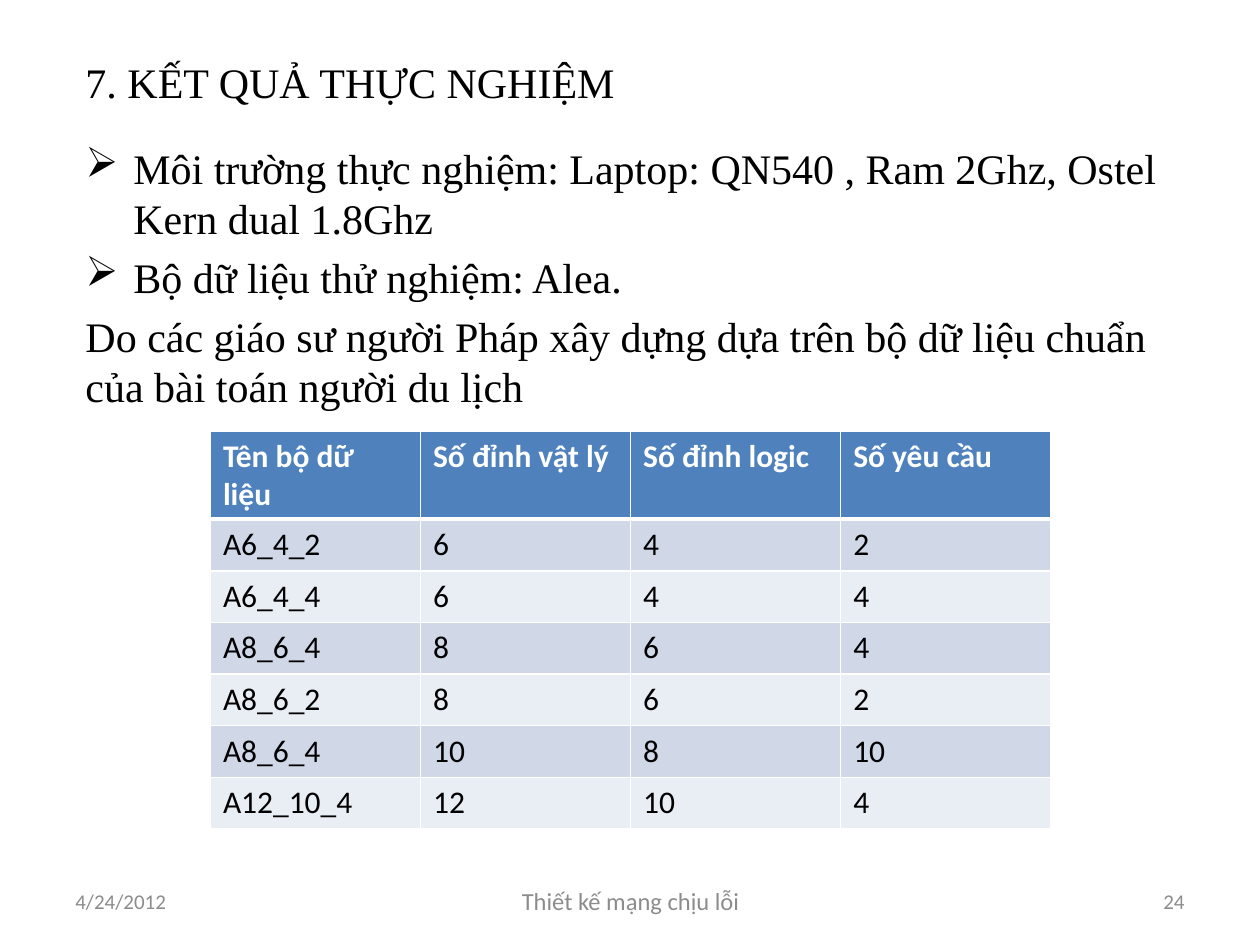
from dataclasses import dataclass

from lxml import etree
from pptx import Presentation
from pptx.dml.color import RGBColor
from pptx.enum.text import MSO_ANCHOR, PP_ALIGN
from pptx.oxml.ns import qn
from pptx.util import Inches, Pt

LEFT, CENTER, RIGHT = PP_ALIGN.LEFT, PP_ALIGN.CENTER, PP_ALIGN.RIGHT
TOP, MIDDLE = MSO_ANCHOR.TOP, MSO_ANCHOR.MIDDLE
SERIF, SANS = "Times New Roman", "Calibri"
COLORS = {
    "text": "000000",
    "muted": "8C8C8C",
    "white": "FFFFFF",
    "head": "4F81BD",
    "odd": "D0D8E8",
    "even": "E9EDF4",
}


@dataclass
class Line:
    text: str
    bullet: bool = False


@dataclass
class Block:
    left: float
    top: float
    width: float
    height: float
    lines: list[Line]
    size: int
    font: str = SERIF
    color: str = "text"
    align: int = LEFT
    anchor: int = MIDDLE
    before: float = 0


def rgb(name: str) -> RGBColor:
    return RGBColor.from_string(COLORS[name])


def add_run(para, text: str, size: int, font: str, color: str, bold: bool = False) -> None:
    run = para.add_run()
    run.text = text
    run.font.size = Pt(size)
    run.font.name = font
    run.font.bold = bold
    run.font.color.rgb = rgb(color)


def add_bullet(para, indent: float = 0.38) -> None:
    props = para._p.get_or_add_pPr()
    props.set("marL", str(Inches(indent)))
    props.set("indent", str(-Inches(indent)))
    etree.SubElement(props, qn("a:buChar")).set("char", "➢")


def add_block(slide, block: Block) -> None:
    box = slide.shapes.add_textbox(
        Inches(block.left), Inches(block.top), Inches(block.width), Inches(block.height)
    )
    frame = box.text_frame
    frame.word_wrap = True
    frame.vertical_anchor = block.anchor
    for i, line in enumerate(block.lines):
        para = frame.add_paragraph() if i else frame.paragraphs[0]
        para.alignment = block.align
        para.space_before = Pt(block.before)
        if line.bullet:
            add_bullet(para)
        add_run(para, line.text, block.size, block.font, block.color)


def set_border(cell, side: str, width: float) -> None:
    line = etree.SubElement(cell._tc.get_or_add_tcPr(), qn(f"a:{side}"))
    line.set("w", str(Pt(width)))
    fill = etree.SubElement(line, qn("a:solidFill"))
    etree.SubElement(fill, qn("a:srgbClr")).set("val", COLORS["white"])


def add_cell(cell, text: str, row: int) -> None:
    head = row == 0
    # Borders come before the fill in the cell properties
    for side in ("lnL", "lnR", "lnT", "lnB"):
        thick = (head and side == "lnB") or (row == 1 and side == "lnT")
        set_border(cell, side, 3 if thick else 1)
    cell.fill.solid()
    cell.fill.fore_color.rgb = rgb("head" if head else "odd" if row % 2 else "even")
    add_run(cell.text_frame.paragraphs[0], text, 18, SANS, "white" if head else "text", head)


def add_grid(slide, rows: list[tuple[str, ...]]) -> None:
    table = slide.shapes.add_table(
        len(rows), len(rows[0]), Inches(1.67), Inches(3.42), Inches(6.67), Inches(3.13)
    ).table
    for col in table.columns:
        col.width = Inches(6.67 / len(rows[0]))
    for r, values in enumerate(rows):
        table.rows[r].height = Inches(0.41 if r else 0.7)
        for c, text in enumerate(values):
            add_cell(table.cell(r, c), text, r)


TITLE = Block(0.58, 0.3, 8.92, 0.7, [Line("7. KẾT QUẢ THỰC NGHIỆM")], 24)
BODY = Block(0.58, 1.08, 8.92, 5.62, [
    Line("Môi trường thực nghiệm: Laptop: QN540 , Ram 2Ghz, Ostel Kern dual 1.8Ghz", True),
    Line("Bộ dữ liệu thử nghiệm: Alea.", True),
    Line("Do các giáo sư người Pháp xây dựng dựa trên bộ dữ liệu chuẩn "
         "của bài toán người du lịch"),
], 24, anchor=TOP, before=4.8)
FOOTER = [
    Block(0.5, 6.95, 2.33, 0.4, [Line("4/24/2012")], 12, SANS, "muted"),
    Block(3.42, 6.95, 3.17, 0.4, [Line("Thiết kế mạng chịu lỗi")], 14, SANS, "muted", CENTER),
    Block(7.17, 6.95, 2.33, 0.4, [Line("24")], 12, SANS, "muted", RIGHT),
]
ROWS = [
    ("Tên bộ dữ liệu", "Số đỉnh vật lý", "Số đỉnh logic", "Số yêu cầu"),
    ("A6_4_2", "6", "4", "2"),
    ("A6_4_4", "6", "4", "4"),
    ("A8_6_4", "8", "6", "4"),
    ("A8_6_2", "8", "6", "2"),
    ("A8_6_4", "10", "8", "10"),
    ("A12_10_4", "12", "10", "4"),
]


def main() -> None:
    deck = Presentation()
    deck.slide_width, deck.slide_height = Inches(10), Inches(7.5)
    slide = deck.slides.add_slide(deck.slide_layouts[6])
    # Title, body and footer texts
    for block in (TITLE, BODY, *FOOTER):
        add_block(slide, block)
    # Data sets
    add_grid(slide, ROWS)
    deck.save("out.pptx")


if __name__ == "__main__":
    main()
